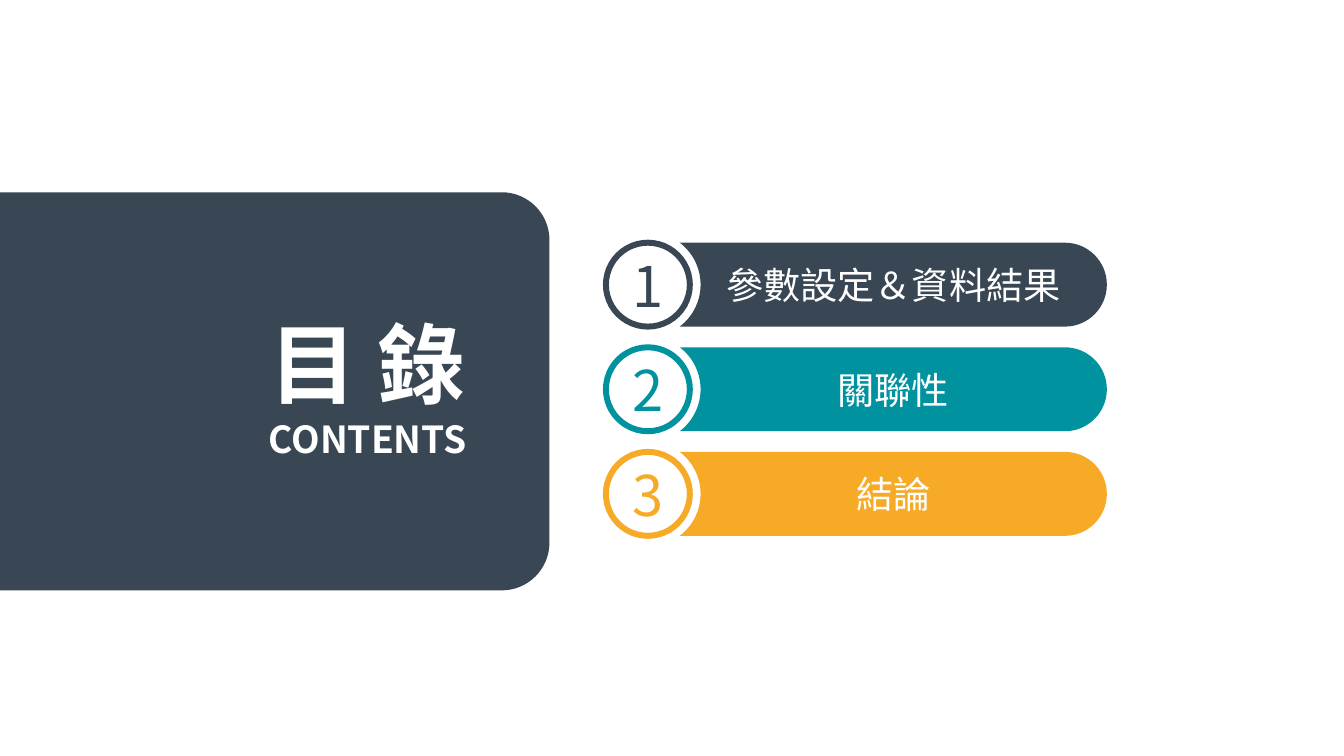
"""Build a contents slide with a title panel and three numbered bars."""
import math
from dataclasses import dataclass

import pptx
import pptx.dml.color
import pptx.enum.shapes
import pptx.enum.text
import pptx.oxml.ns
import pptx.util
from lxml import etree

Cm = pptx.util.Cm
Pt = pptx.util.Pt
qn = pptx.oxml.ns.qn


@dataclass(frozen=True)
class Theme:
    font: str = "Noto Sans CJK SC"
    white: str = "FFFFFF"
    slate: str = "394754"
    teal: str = "00939F"
    amber: str = "F6AA26"
    title_size: float = 66
    label_size: float = 28
    number_size: float = 42.2
    ring_width: float = 4.5


THEME = Theme()
DISC_SIZE = 2.23
DISC_LEFT = 16.1
NOTCH_RADIUS = 1.4
BAR_RIGHT = 29.41
FIRST_TOP = 6.45
PITCH = 2.78


def rgb(color):
    return pptx.dml.color.RGBColor.from_string(color)


def on_circle(x, y, radius, degrees):
    angle = math.radians(degrees)
    return x + radius * math.cos(angle), y + radius * math.sin(angle)


def curve(x, y, radius, start, end):
    """Return two control points and the end point of a circular arc."""
    reach = 4 / 3 * math.tan(math.radians(end - start) / 4) * radius
    first, last = math.radians(start), math.radians(end)
    start_x, start_y = on_circle(x, y, radius, start)
    end_x, end_y = on_circle(x, y, radius, end)
    return [
        (start_x - reach * math.sin(first), start_y + reach * math.cos(first)),
        (end_x + reach * math.sin(last), end_y - reach * math.cos(last)),
        (end_x, end_y),
    ]


def paint(shape, fill, line=None):
    shape.shadow.inherit = False
    shape.fill.solid()
    shape.fill.fore_color.rgb = rgb(fill)
    if line:
        shape.line.color.rgb = rgb(line)
        shape.line.width = Pt(THEME.ring_width)
    else:
        shape.line.fill.background()


def write(shape, text, size, color, bold=False, anchor=pptx.enum.text.MSO_ANCHOR.MIDDLE):
    frame = shape.text_frame
    frame.text = text
    frame.word_wrap = True
    frame.vertical_anchor = anchor
    frame.margin_left = frame.margin_top = frame.margin_right = frame.margin_bottom = 0
    paragraph = frame.paragraphs[0]
    paragraph.alignment = pptx.enum.text.PP_ALIGN.CENTER
    for run in paragraph.runs:
        run.font.name = THEME.font
        run.font.size = Pt(size)
        run.font.bold = bold
        run.font.color.rgb = rgb(color)
        east_asian = etree.SubElement(run.font._element, qn("a:ea"))
        east_asian.set("typeface", THEME.font)


def add_outline(slide, start, segments, fill):
    """Add a closed outline; a segment holds one point for a line, three for a curve."""
    builder = slide.shapes.build_freeform(Cm(start[0]), Cm(start[1]))
    ends = [segment[-1] for segment in segments]
    builder.add_line_segments([(Cm(x), Cm(y)) for x, y in ends], close=True)
    shape = builder.convert_to_shape()
    lines = list(shape._element.iter(qn("a:lnTo")))
    for line, segment in zip(lines, segments):
        if len(segment) == 3:
            line.getparent().replace(line, curve_element(shape, segment))
    paint(shape, fill)
    return shape


def curve_element(shape, points):
    element = etree.Element(qn("a:cubicBezTo"))
    for x, y in points:
        point = etree.SubElement(element, qn("a:pt"))
        point.set("x", str(Cm(x) - shape.left))
        point.set("y", str(Cm(y) - shape.top))
    return element


def add_panel(slide, top, width, height, radius):
    bottom = top + height
    center = width - radius
    segments = [
        [(center, top)],
        curve(center, top + radius, radius, -90, 0),
        [(width, bottom - radius)],
        curve(center, bottom - radius, radius, 0, 90),
        [(0, bottom)],
    ]
    add_outline(slide, (0, top), segments, THEME.slate)


def add_entry(slide, number, label, color):
    """Add a notched bar with its numbered disc."""
    top = FIRST_TOP + (number - 1) * PITCH
    radius = DISC_SIZE / 2
    middle = top + radius
    cap_center = BAR_RIGHT - radius
    notch = (DISC_LEFT + radius, middle, NOTCH_RADIUS)
    angle = math.degrees(math.asin(radius / NOTCH_RADIUS))
    segments = [
        [(cap_center, top)],
        curve(cap_center, middle, radius, -90, 0),
        curve(cap_center, middle, radius, 0, 90),
        [on_circle(*notch, angle)],
        curve(*notch, angle, 0),
        curve(*notch, 0, -angle),
    ]
    bar = add_outline(slide, on_circle(*notch, -angle), segments, color)
    write(bar, label, THEME.label_size, THEME.white)

    disc = slide.shapes.add_shape(
        pptx.enum.shapes.MSO_SHAPE.OVAL, Cm(DISC_LEFT), Cm(top), Cm(DISC_SIZE), Cm(DISC_SIZE)
    )
    paint(disc, THEME.white, color)
    write(disc, str(number), THEME.number_size, color)


def add_heading(slide, text, left, top, width, height, size, anchor):
    box = slide.shapes.add_textbox(Cm(left), Cm(top), Cm(width), Cm(height))
    write(box, text, size, THEME.white, True, anchor)
    box.text_frame.auto_size = pptx.enum.text.MSO_AUTO_SIZE.SHAPE_TO_FIT_TEXT


def main():
    presentation = pptx.Presentation()
    presentation.slide_width = Cm(35.71)
    presentation.slide_height = Cm(20.09)
    slide = presentation.slides.add_slide(presentation.slide_layouts[6])

    add_panel(slide, top=5.11, width=14.6, height=10.58, radius=1.27)
    entries = [
        ("參數設定＆資料結果", THEME.slate),
        ("關聯性", THEME.teal),
        ("結論", THEME.amber),
    ]
    for number, (label, color) in enumerate(entries, start=1):
        add_entry(slide, number, label, color)

    anchors = pptx.enum.text.MSO_ANCHOR
    add_heading(slide, "目 錄", 5.78, 8.23, 7.97, 2.82, THEME.title_size, anchors.MIDDLE)
    add_heading(slide, "CONTENTS", 5.82, 11.07, 7.9, 1.19, THEME.label_size, anchors.TOP)
    presentation.save("out.pptx")


if __name__ == "__main__":
    main()
